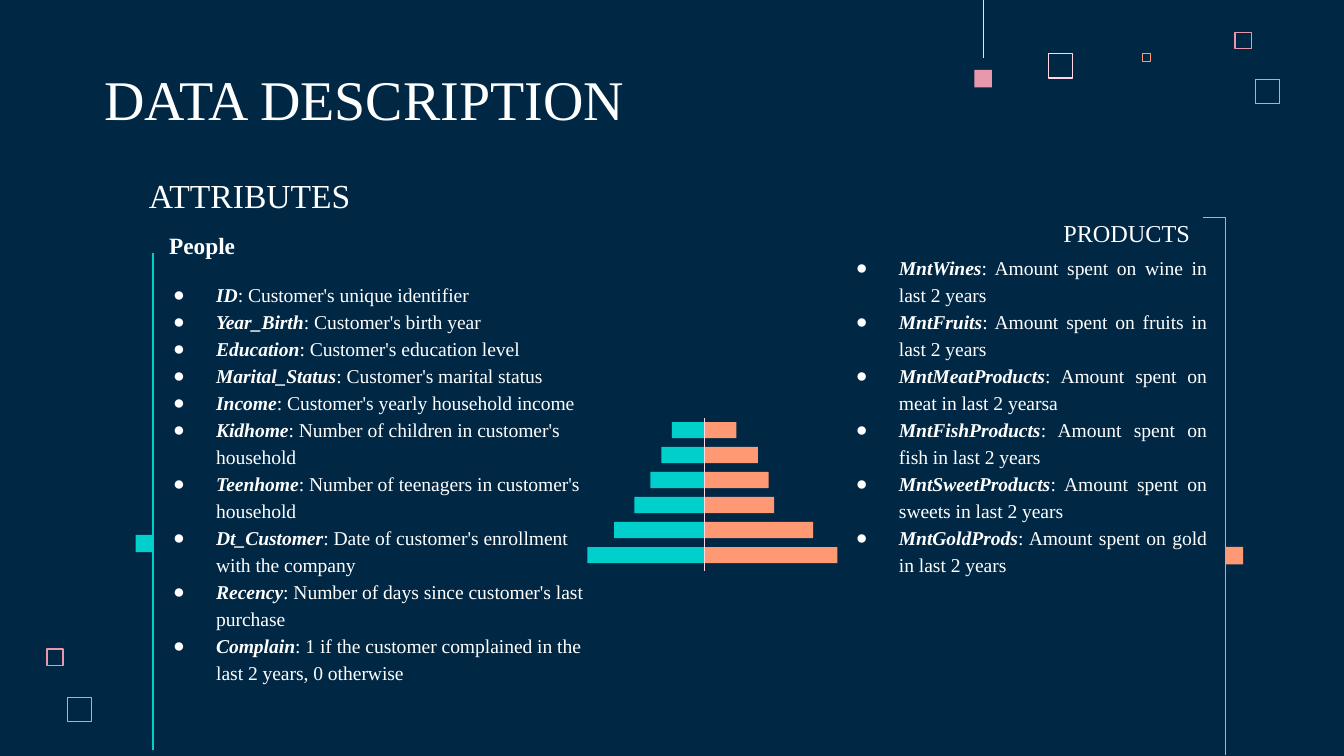
from lxml.etree import SubElement
from pptx import Presentation
from pptx.dml.color import RGBColor
from pptx.enum.shapes import MSO_CONNECTOR as Connector, MSO_SHAPE as Shape
from pptx.enum.text import MSO_ANCHOR as Anchor, PP_ALIGN as Align
from pptx.oxml.ns import qn
from pptx.util import Inches, Pt

NAVY = RGBColor(0x00, 0x28, 0x45)
WHITE = RGBColor(0xFF, 0xFF, 0xFF)
TEAL = RGBColor(0x00, 0xCF, 0xCC)
ORANGE = RGBColor(0xFF, 0x99, 0x73)
PINK = RGBColor(0xE8, 0x98, 0xAC)
BLUSH = RGBColor(0xFF, 0xD6, 0xE1)
FONT = "Times New Roman"

FRAMES = [
    (7.8, 0.4, 0.18, BLUSH), (9.19, 0.24, 0.12, PINK), (8.5, 0.4, 0.06, ORANGE),
    (9.34, 0.59, 0.18, ORANGE), (0.35, 4.83, 0.12, PINK), (0.5, 5.19, 0.18, ORANGE),
]
MARKERS = [(7.25, 0.52, PINK), (1.01, 3.98, TEAL), (9.12, 4.07, ORANGE)]
PEOPLE = [
    ("ID", "Customer's unique identifier"),
    ("Year_Birth", "Customer's birth year"),
    ("Education", "Customer's education level"),
    ("Marital_Status", "Customer's marital status"),
    ("Income", "Customer's yearly household income"),
    ("Kidhome", "Number of children in customer's household"),
    ("Teenhome", "Number of teenagers in customer's household"),
    ("Dt_Customer", "Date of customer's enrollment with the company"),
    ("Recency", "Number of days since customer's last purchase"),
    ("Complain", "1 if the customer complained in the last 2 years, 0 otherwise"),
]
PRODUCTS = [
    ("MntWines", "Amount spent on wine in last 2 years"),
    ("MntFruits", "Amount spent on fruits in last 2 years"),
    ("MntMeatProducts", "Amount spent on meat in last 2 yearsa"),
    ("MntFishProducts", "Amount spent on fish in last 2 years"),
    ("MntSweetProducts", "Amount spent on sweets in last 2 years"),
    ("MntGoldProds", "Amount spent on gold in last 2 years"),
]
PYRAMID = [(0.24, 0.24), (0.32, 0.4), (0.4, 0.48), (0.52, 0.52), (0.67, 0.81), (0.87, 0.99)]
PYRAMID_AXIS, PYRAMID_TOP, PYRAMID_LAST, BAR_HEIGHT = 5.24, 3.14, 4.07, 0.12


def add_block(slide, left, top, width, height, color):
    """Add a solid rectangle without an outline."""
    block = slide.shapes.add_shape(
        Shape.RECTANGLE, Inches(left), Inches(top), Inches(width), Inches(height))
    block.shadow.inherit = False
    block.fill.solid()
    block.fill.fore_color.rgb = color
    block.line.fill.background()
    return block


def add_frame(slide, left, top, size, color):
    """Add a hollow square with a thin outline."""
    frame = add_block(slide, left, top, size, size, color)
    frame.fill.background()
    frame.line.color.rgb = color
    frame.line.width = Pt(0.75)


def add_line(slide, start, end, color, width=0.75, kind=Connector.STRAIGHT):
    """Add a connector without a shadow."""
    line = slide.shapes.add_connector(kind, *map(Inches, start + end))
    line.line.color.rgb = color
    line.line.width = Pt(width)
    SubElement(line._element.spPr, qn("a:effectLst"))
    return line


def add_corner(slide, start, end, color):
    """Add a connector with a single right-angle bend."""
    corner = add_line(slide, start, end, color, kind=Connector.ELBOW)
    corner._element.spPr.find(qn("a:prstGeom")).set("prst", "bentConnector2")


def add_box(slide, left, top, width, height, anchor=Anchor.TOP):
    """Add an empty wrapping text box and return its frame."""
    box = slide.shapes.add_textbox(Inches(left), Inches(top), Inches(width), Inches(height))
    frame = box.text_frame
    frame.word_wrap = True
    frame.vertical_anchor = anchor
    frame.margin_left = frame.margin_right = Inches(0.1)
    frame.margin_top = frame.margin_bottom = Inches(0.1)
    return frame


def add_run(para, text, size, bold=False, italic=False):
    """Add a white run to a paragraph."""
    span = para.add_run()
    span.text = text
    span.font.name = FONT
    span.font.size = Pt(size)
    span.font.bold = bold
    span.font.italic = italic
    span.font.color.rgb = WHITE


def add_heading(slide, text, size, left, top, width, height, align=Align.LEFT):
    """Add a bottom-anchored one-line heading."""
    para = add_box(slide, left, top, width, height, Anchor.BOTTOM).paragraphs[0]
    para.alignment = align
    add_run(para, text, size)


def add_attribute(para, name, meaning, align):
    """Fill a bulleted paragraph with a name and its meaning."""
    para.alignment = align
    para.line_spacing = 1.15
    props = para._p.get_or_add_pPr()
    props.set("marL", str(Inches(0.5)))
    props.set("indent", str(Inches(-0.32)))
    color = SubElement(props, qn("a:buClr"))
    SubElement(color, qn("a:srgbClr")).set("val", str(WHITE))
    SubElement(props, qn("a:buFont")).set("typeface", FONT)
    SubElement(props, qn("a:buChar")).set("char", "●")
    add_run(para, name, 10.5, bold=True, italic=True)
    add_run(para, f": {meaning}", 10.5)


def add_people(slide):
    """Add the list of customer attributes under its subheading."""
    frame = add_box(slide, 1.01, 1.62, 3.52, 1.48)
    title = frame.paragraphs[0]
    title._p.get_or_add_pPr().set("marL", str(Inches(0.15)))
    add_run(title, "People", 12.5, bold=True)
    for index, (name, meaning) in enumerate(PEOPLE):
        para = frame.add_paragraph()
        if index == 0:
            para.space_before = Pt(11)
        add_attribute(para, name, meaning, Align.LEFT)


def add_products(slide):
    """Add the justified list of product attributes."""
    frame = add_box(slide, 6.09, 1.45, 2.99, 2.86)
    frame.margin_top = Inches(0.43)
    for index, (name, meaning) in enumerate(PRODUCTS):
        para = frame.add_paragraph() if index else frame.paragraphs[0]
        add_attribute(para, name, meaning, Align.JUSTIFY)


def add_pyramid(slide):
    """Add paired bars that widen downwards on both sides of an axis."""
    step = (PYRAMID_LAST - PYRAMID_TOP) / (len(PYRAMID) - 1)
    for row, (left_width, right_width) in enumerate(PYRAMID):
        top = PYRAMID_TOP + row * step
        add_block(slide, PYRAMID_AXIS - left_width, top, left_width, BAR_HEIGHT, TEAL)
        add_block(slide, PYRAMID_AXIS, top, right_width, BAR_HEIGHT, ORANGE)
    add_line(slide, (PYRAMID_AXIS, 3.11), (PYRAMID_AXIS, 4.25), BLUSH)


def main():
    """Build the slide and save it."""
    deck = Presentation()
    deck.slide_width = Inches(10)
    deck.slide_height = Inches(10 * 9 / 16)
    slide = deck.slides.add_slide(deck.slide_layouts[6])
    slide.background.fill.solid()
    slide.background.fill.fore_color.rgb = NAVY

    for frame in FRAMES:
        add_frame(slide, *frame)
    for left, top, color in MARKERS:
        add_block(slide, left, top, 0.13, 0.13, color)
    add_line(slide, (7.32, 0), (7.32, 0.43), BLUSH, width=0.5)

    add_heading(slide, "DATA DESCRIPTION", 30, 0.68, 0.45, 6.73, 0.63)
    add_heading(slide, "ATTRIBUTES", 18, 1.01, 1.27, 1.85, 0.43)
    add_people(slide)
    add_heading(slide, "PRODUCTS", 13, 7.34, 1.31, 1.61, 0.63, Align.RIGHT)
    add_products(slide)
    add_pyramid(slide)
    add_line(slide, (1.14, 1.88), (1.14, 5.58), TEAL)
    add_corner(slide, (8.95, 1.62), (9.12, 5.62), ORANGE)
    deck.save("out.pptx")


if __name__ == "__main__":
    main()
